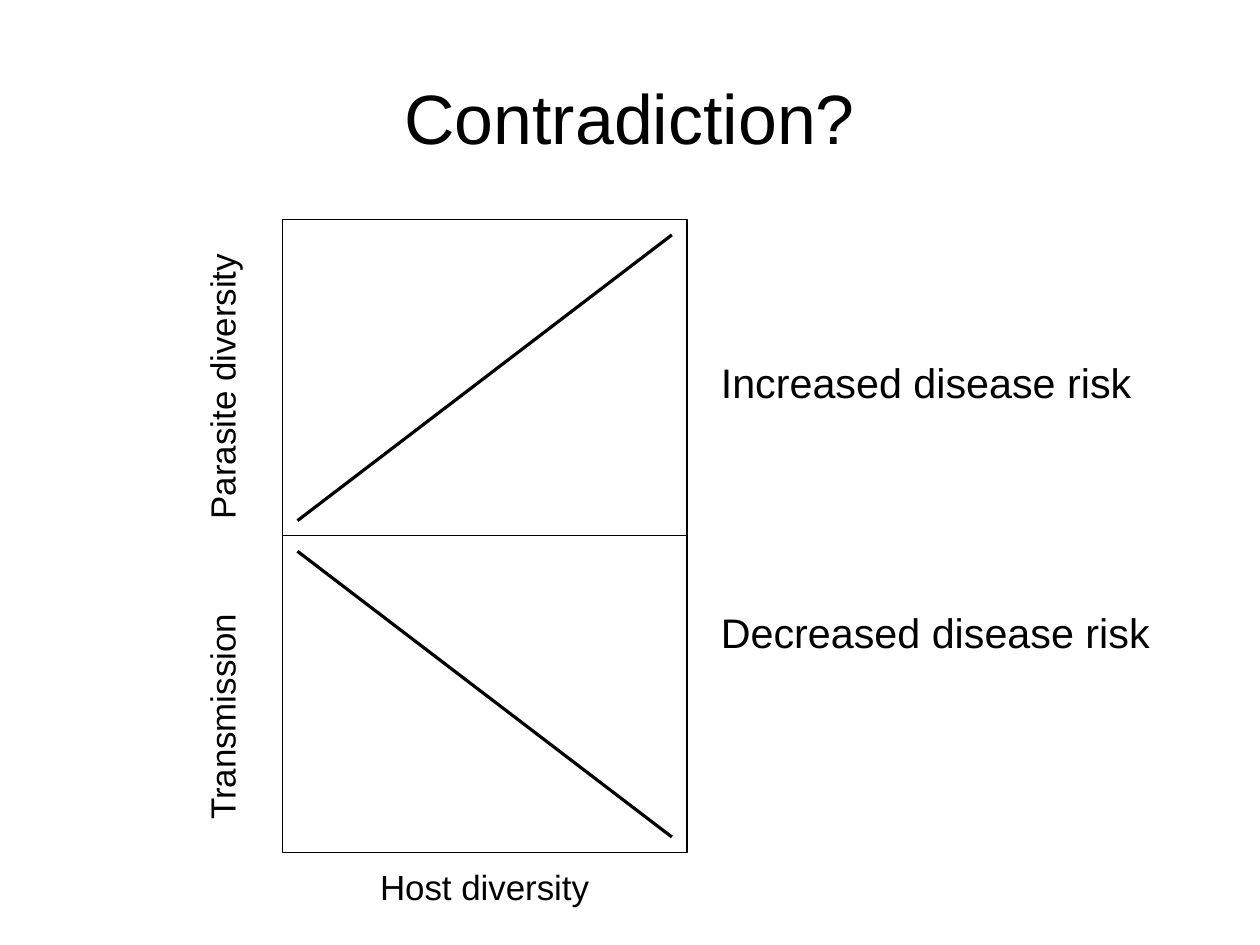
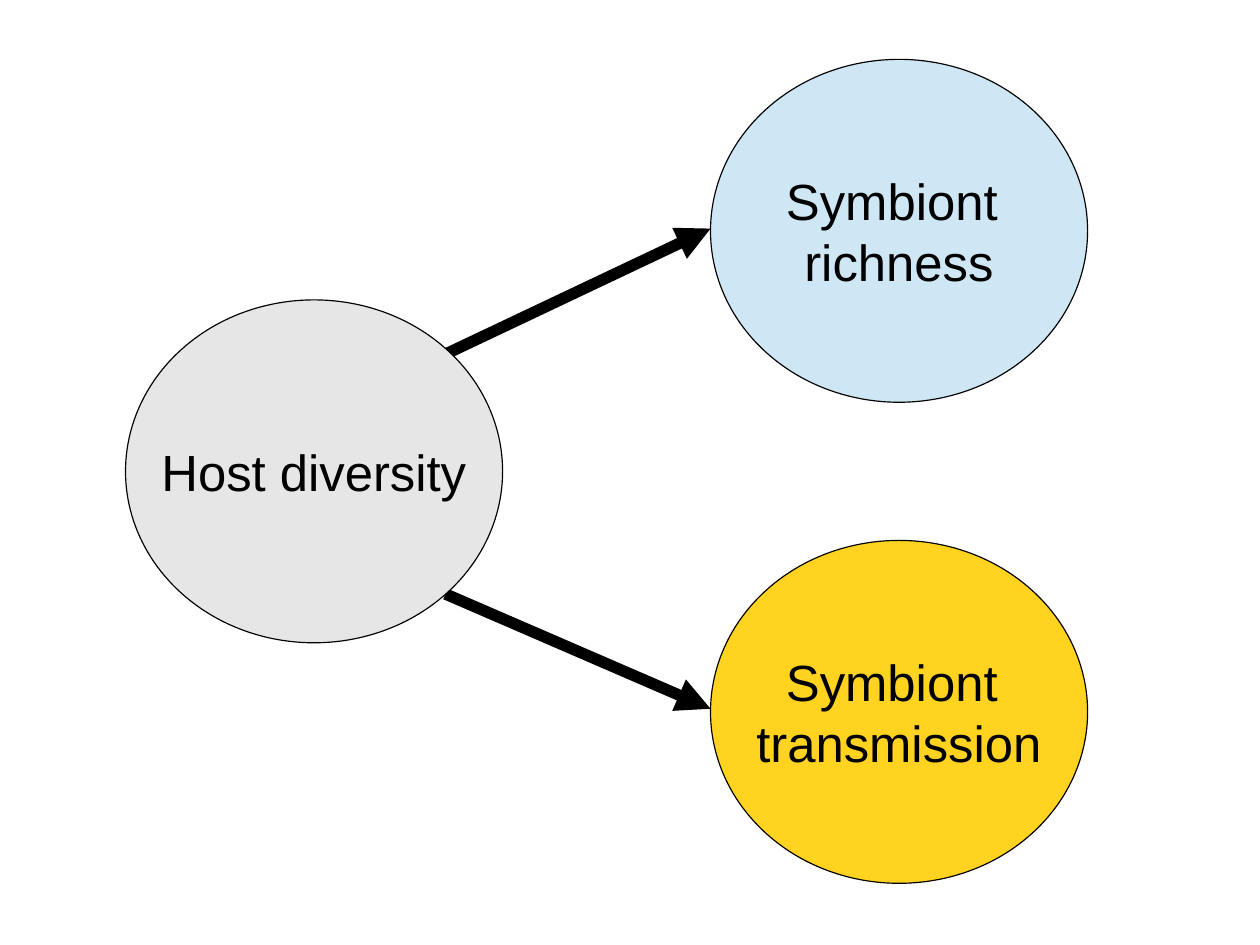
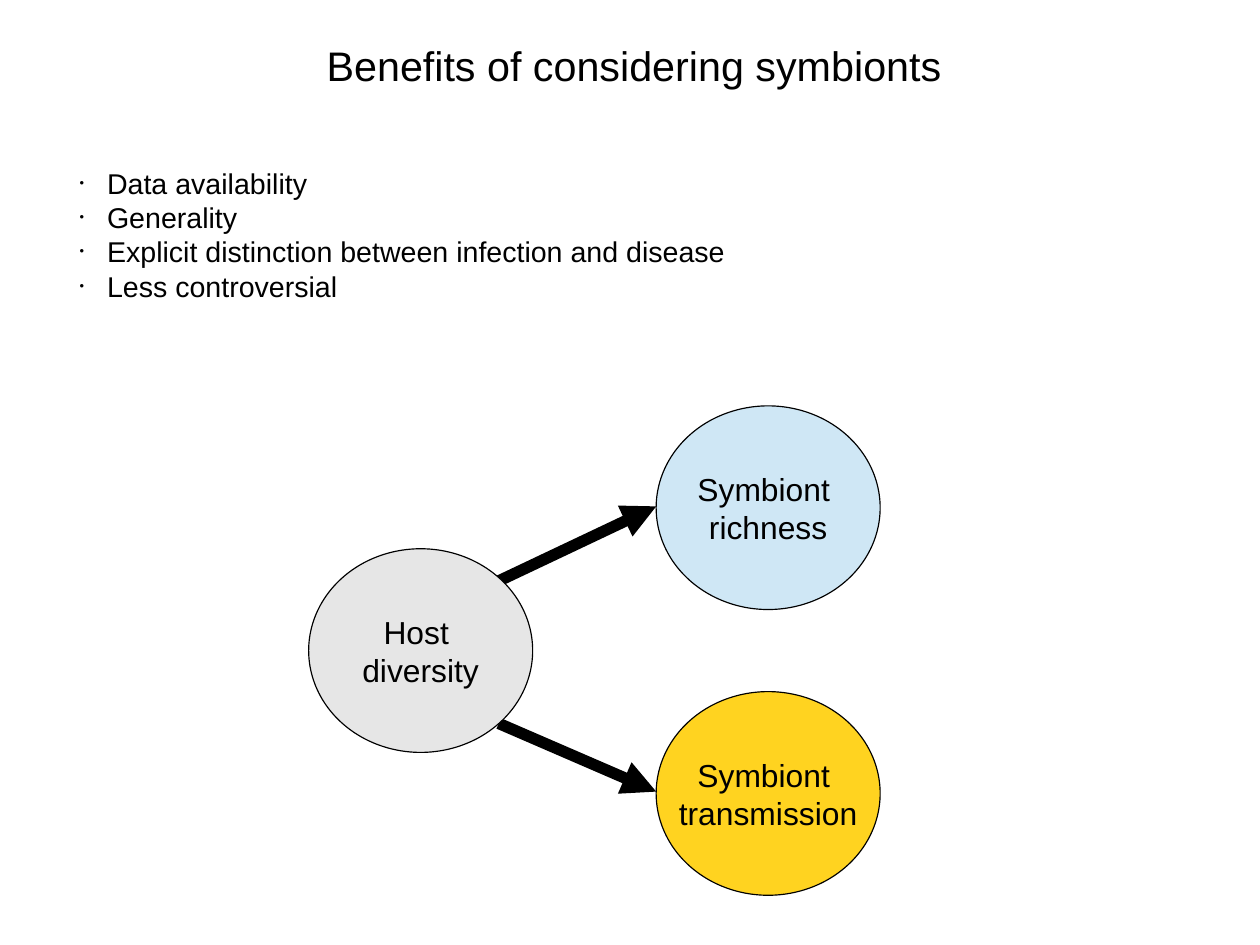
from lxml import etree
from pptx import Presentation
from pptx.dml.color import RGBColor
from pptx.enum import shapes, text
from pptx.oxml.ns import qn
from pptx.util import Cm, Pt

BLACK = RGBColor(0x00, 0x00, 0x00)
WHITE = RGBColor(0xFF, 0xFF, 0xFF)
GREY = RGBColor(0xE6, 0xE6, 0xE6)
BLUE = RGBColor(0xCF, 0xE7, 0xF5)
YELLOW = RGBColor(0xFF, 0xD3, 0x20)

FONT = "Arial"
HAIRLINE = 0
ARROW_WIDTH = 7.2
LABEL_SIZE = 22
HEADING_SIZE = 26


def write(tf, lines, size, align=text.PP_ALIGN.LEFT, anchor=text.MSO_ANCHOR.TOP,
          wrap=True, gap=0, bullets=False):
    """Fill a text frame, one paragraph a line, with gap points between them."""
    tf.word_wrap = wrap
    tf.vertical_anchor = anchor
    for i, line in enumerate(lines):
        p = tf.add_paragraph() if i else tf.paragraphs[0]
        p.alignment = align
        if i and gap:
            p.space_before = Pt(gap)
        if bullets:
            add_bullet(p)
        r = p.add_run()
        r.text = line
        r.font.name = FONT
        r.font.size = Pt(size)
        r.font.color.rgb = BLACK


def add_bullet(p, indent=Cm(0.61)):
    pPr = p._p.get_or_add_pPr()
    pPr.set("marL", str(indent))
    pPr.set("indent", str(-indent))
    color = etree.SubElement(pPr, qn("a:buClr"))
    etree.SubElement(color, qn("a:srgbClr"), val=str(BLACK))
    etree.SubElement(pPr, qn("a:buSzPct"), val="45000")
    etree.SubElement(pPr, qn("a:buFont"), typeface=FONT)
    etree.SubElement(pPr, qn("a:buChar"), char="•")


class Deck:
    def __init__(self):
        self.prs = Presentation()
        self.prs.slide_width, self.prs.slide_height = Cm(28), Cm(21)
        self.slide = None

    def new_slide(self):
        self.slide = self.prs.slides.add_slide(self.prs.slide_layouts[6])

    def text_box(self, x, y, w, h, lines, size, rotation=0, **fmt):
        sp = self.slide.shapes.add_textbox(Cm(x), Cm(y), Cm(w), Cm(h))
        sp.rotation = rotation
        write(sp.text_frame, lines, size, **fmt)

    def centered(self, x, y, w, h, line, size, **fmt):
        self.text_box(x, y, w, h, [line], size, align=text.PP_ALIGN.CENTER, **fmt)

    def side_label(self, cx, cy, line, length=9, height=1.37):
        """Text that reads upwards, centred on a point."""
        self.centered(cx - length / 2, cy - height / 2, length, height, line,
                      LABEL_SIZE, rotation=270)

    def shape(self, kind, x, y, w, h, fill):
        sp = self.slide.shapes.add_shape(kind, Cm(x), Cm(y), Cm(w), Cm(h))
        sp.shadow.inherit = False
        sp.fill.solid()
        sp.fill.fore_color.rgb = fill
        sp.line.color.rgb = BLACK
        sp.line.width = Pt(HAIRLINE)
        return sp

    def line(self, start, end, width=HAIRLINE, arrow=False):
        cx = self.slide.shapes.add_connector(
            shapes.MSO_CONNECTOR.STRAIGHT, *(Cm(v) for v in (*start, *end)))
        cx.line.color.rgb = BLACK
        cx.line.width = Pt(width)
        if arrow:
            etree.SubElement(cx.line._get_or_add_ln(), qn("a:tailEnd"), type="triangle")
        etree.SubElement(cx._element.spPr, qn("a:effectLst"))

    def trend_panel(self, x, y, w, h, rising, inset=0.34):
        self.shape(shapes.MSO_SHAPE.RECTANGLE, x, y, w, h, WHITE)
        ends = [y + inset, y + h - inset]
        if rising:
            ends.reverse()
        self.line((x + inset, ends[0]), (x + w - inset, ends[1]))

    def symbiont_diagram(self, left, top, host_lines, size, scale=1):
        """Host circle with arrows to the two symbiont circles."""
        def place(x, y):
            return left + x * scale, top + y * scale

        for start, end in (((7.11, 6.55), (13, 3.76)), ((7.11, 11.88), (13, 14.43))):
            self.line(place(*start), place(*end), ARROW_WIDTH, arrow=True)
        circles = ((0, 0.5, GREY, host_lines),
                   (13, 0, BLUE, ["Symbiont ", "richness"]),
                   (13, 1, YELLOW, ["Symbiont ", "transmission"]))
        for x, row, fill, lines in circles:
            sp = self.shape(shapes.MSO_SHAPE.OVAL, *place(x, row * 10.69),
                            8.38 * scale, 7.62 * scale, fill)
            write(sp.text_frame, lines, size, align=text.PP_ALIGN.CENTER,
                  anchor=text.MSO_ANCHOR.MIDDLE, wrap=False)


def contradiction_slide(deck):
    left, top, width, height = 6.27, 4.88, 9, 7.03
    deck.new_slide()
    deck.centered(1.4, 0.84, 25.2, 3.5, "Contradiction?", 44,
                  anchor=text.MSO_ANCHOR.MIDDLE)
    deck.trend_panel(left, top, width, height, rising=True)
    deck.trend_panel(left, top + height, width, height, rising=False)
    deck.side_label(5.02, 8.59, "Parasite diversity")
    deck.side_label(5.02, 15.93, "Transmission")
    deck.centered(left, 19.1, width, 1.37, "Host diversity", LABEL_SIZE)
    deck.text_box(15.77, 7.82, 10.72, 8.36,
                  ["Increased disease risk", "Decreased disease risk"],
                  HEADING_SIZE, gap=126)


def symbionts_slide(deck):
    deck.new_slide()
    deck.symbiont_diagram(2.79, 1.32, ["Host diversity"], 32)


def benefits_slide(deck):
    deck.new_slide()
    deck.centered(1.78, 0.76, 24.9, 1.4, "Benefits of considering symbionts ",
                  HEADING_SIZE)
    deck.text_box(1.52, 3.56, 24.64, 3.4,
                  ["Data availability", "Generality",
                   "Explicit distinction between infection and disease",
                   "Less controversial"], 18, bullets=True)
    deck.symbiont_diagram(6.86, 9.02, ["Host ", "diversity"], 20, scale=0.594)


def main():
    deck = Deck()
    contradiction_slide(deck)
    symbionts_slide(deck)
    benefits_slide(deck)
    deck.prs.save("out.pptx")


if __name__ == "__main__":
    main()
